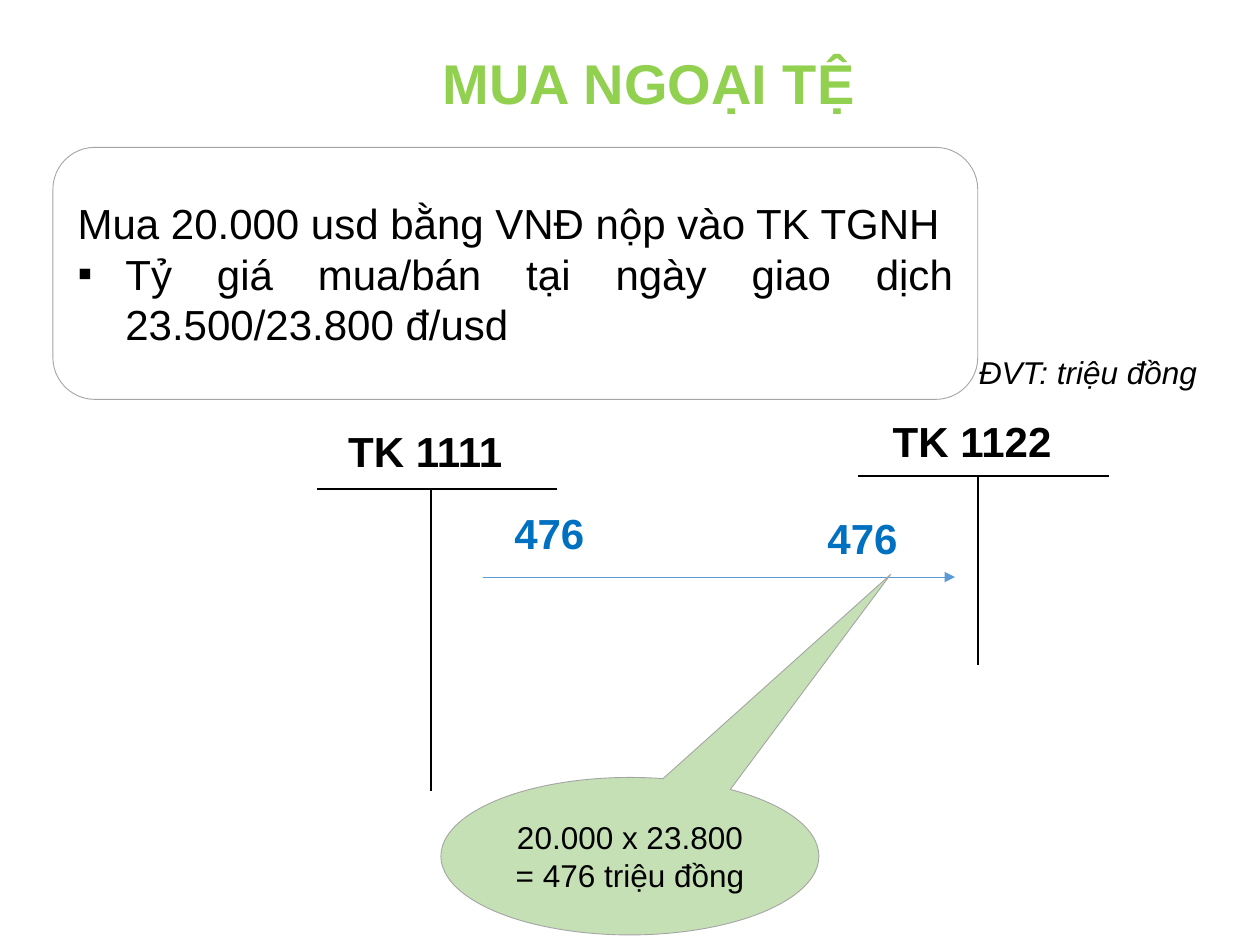
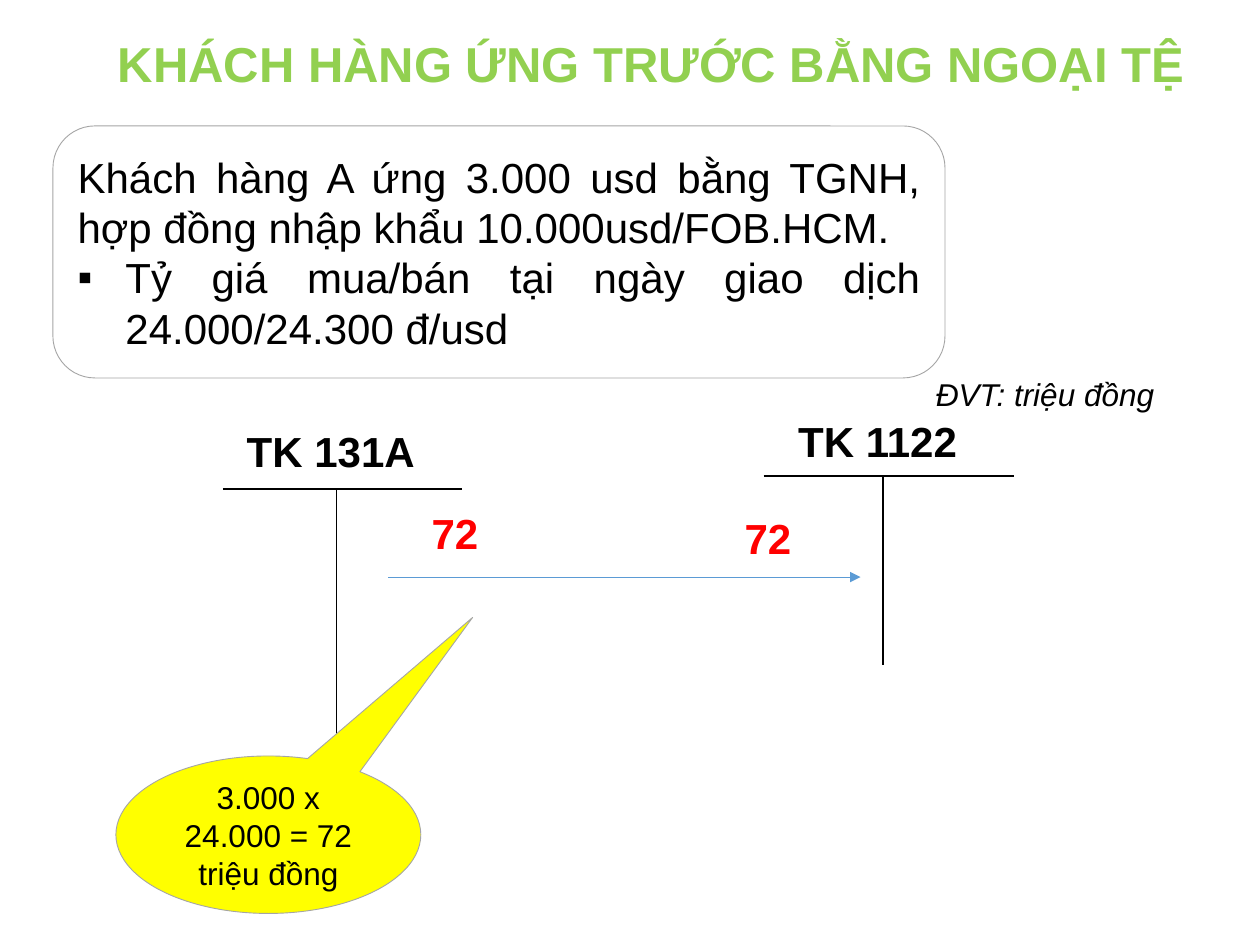
from dataclasses import dataclass
from lxml.etree import SubElement
from pptx import Presentation
from pptx.dml.color import RGBColor
from pptx.enum.shapes import MSO_CONNECTOR, MSO_SHAPE
from pptx.enum.text import MSO_ANCHOR as Anchor, PP_ALIGN as Align
from pptx.oxml.ns import qn
from pptx.util import Inches, Pt


@dataclass(frozen=True)
class Theme:
    font: str = "Arial"
    ink: str = "000000"
    title: str = "92D050"
    paper: str = "FFFFFF"
    outline: str = "A5A5A5"
    arrow: str = "5B9BD5"
    purchase: str = "0070C0"
    advance: str = "FF0000"
    green_note: str = "C5E0B4"
    yellow_note: str = "FFFF00"
    body_size: int = 24
    note_size: int = 18
    hairline: float = 0.5
    account_line: float = 1


def write(frame, *lines, size, color, font, bold=False, italic=False,
          align=Align.LEFT, anchor=Anchor.TOP, wrap=True, bullets_from=None, spacing=None):
    frame.word_wrap = wrap
    frame.vertical_anchor = anchor
    for number, line in enumerate(lines):
        paragraph = frame.add_paragraph() if number else frame.paragraphs[0]
        paragraph.alignment = align
        if spacing:
            paragraph.line_spacing = spacing
        if bullets_from is not None and number >= bullets_from:
            properties = paragraph._p.get_or_add_pPr()
            properties.set("marL", str(Inches(0.38)))
            properties.set("indent", str(Inches(-0.38)))
            SubElement(properties, qn("a:buFont"), typeface=font)
            SubElement(properties, qn("a:buChar"), char="▪")
        run = paragraph.add_run()
        run.text = line
        run.font.name = font
        run.font.size = Pt(size)
        run.font.bold = bold
        run.font.italic = italic
        run.font.color.rgb = RGBColor.from_string(color)


class Deck:
    def __init__(self, theme):
        self.theme = theme
        self.show = Presentation()
        self.show.slide_width, self.show.slide_height = Inches(10), Inches(7.5)
        self.slide = None

    def new_slide(self):
        self.slide = self.show.slides.add_slide(self.show.slide_layouts[6])

    def text(self, box, *lines, **style):
        label = self.slide.shapes.add_textbox(*map(Inches, box))
        style = {"size": self.theme.body_size, "color": self.theme.ink,
                 "font": self.theme.font, **style}
        write(label.text_frame, *lines, **style)

    def title(self, box, words, size, **style):
        self.text(box, words, size=size, color=self.theme.title, bold=True,
                  align=Align.CENTER, anchor=Anchor.MIDDLE, **style)

    def panel(self, kind, box, fill, *lines, adjust=(), **style):
        panel = self.slide.shapes.add_shape(kind, *map(Inches, box))
        panel.shadow.inherit = False
        for number, value in enumerate(adjust):
            panel.adjustments[number] = value
        panel.fill.solid()
        panel.fill.fore_color.rgb = RGBColor.from_string(fill)
        panel.line.color.rgb = RGBColor.from_string(self.theme.outline)
        panel.line.width = Pt(self.theme.hairline)
        write(panel.text_frame, *lines, color=self.theme.ink, font=self.theme.font,
              anchor=Anchor.MIDDLE, **style)

    def line(self, start, end, color, width, arrow=False):
        line = self.slide.shapes.add_connector(
            MSO_CONNECTOR.STRAIGHT, *map(Inches, (*start, *end)))
        line.line.color.rgb = RGBColor.from_string(color)
        line.line.width = Pt(width)
        if arrow:
            SubElement(line.line._get_or_add_ln(), qn("a:tailEnd"), type="triangle")
        SubElement(line._element.spPr, qn("a:effectLst"))

    def account(self, name, label_left, label_top, bar, bar_y, stem_x, stem_length):
        self.text((label_left, label_top, 2.75, 0.5), name, bold=True, align=Align.CENTER)
        ink, width = self.theme.ink, self.theme.account_line
        self.line((bar[0], bar_y), (bar[1], bar_y), ink, width)
        self.line((stem_x, bar_y), (stem_x, bar_y + stem_length), ink, width)

    def posting(self, left, credited, amount, color):
        self.account("TK 1122", left + 4.34, 3.25, (left + 4.81, left + 6.8), 3.78,
                     left + 5.76, 1.5)
        self.account(credited, left, 3.33, (left + 0.52, left + 2.42), 3.88, left + 1.42, 2.4)
        for box in ((left + 4.1, 4.11, 1.49, 0.31), (left + 1.5, 4, 1.72, 0.46)):
            self.text(box, amount, color=color, bold=True,
                      align=Align.CENTER, anchor=Anchor.MIDDLE)
        self.line((left + 1.83, 4.58), (left + 5.58, 4.58),
                  self.theme.arrow, self.theme.hairline, arrow=True)

    def unit(self, left, top):
        self.text((left, top, 2.25, 0.4), "ĐVT: triệu đồng",
                  size=self.theme.note_size, italic=True)

    def calculation(self, box, fill, pointer, words):
        self.panel(MSO_SHAPE.OVAL_CALLOUT, box, fill, words, adjust=pointer,
                   size=self.theme.note_size, align=Align.CENTER)

    def case(self, top, width, event, rate):
        self.panel(MSO_SHAPE.ROUNDED_RECTANGLE, (0.42, top, width, 2), self.theme.paper,
                   event, rate, size=self.theme.body_size, align=Align.JUSTIFY, bullets_from=1)


def main():
    theme = Theme()
    deck = Deck(theme)

    deck.new_slide()
    deck.posting(2, "TK 1111", "476", theme.purchase)
    deck.unit(7.67, 2.75)
    deck.calculation((3.5, 6.17, 3, 1.25), theme.green_note, (0.69, -1.79),
                     "20.000 x 23.800 = 476 triệu đồng")
    deck.case(1.17, 7.34, "Mua 20.000 usd bằng VNĐ nộp vào TK TGNH",
              "Tỷ giá mua/bán tại ngày giao dịch 23.500/23.800 đ/usd")
    deck.title((3.4, 0.33, 3.5, 0.64), "MUA NGOẠI TỆ", 32, wrap=False)

    deck.new_slide()
    deck.title((0.66, 0.23, 9.01, 0.59), "KHÁCH HÀNG ỨNG TRƯỚC BẰNG NGOẠI TỆ", 28, spacing=0.9)
    deck.posting(1.25, "TK 131A", "72", theme.advance)
    deck.unit(7.33, 2.93)
    deck.calculation((0.92, 6, 2.42, 1.25), theme.yellow_note, (0.67, -1.38),
                     "3.000 x 24.000 = 72 triệu đồng")
    deck.case(1, 7.08,
              "Khách hàng A ứng 3.000 usd bằng TGNH, hợp đồng nhập khẩu 10.000usd/FOB.HCM.",
              "Tỷ giá mua/bán tại ngày giao dịch 24.000/24.300 đ/usd")

    deck.show.save("out.pptx")


if __name__ == "__main__":
    main()
